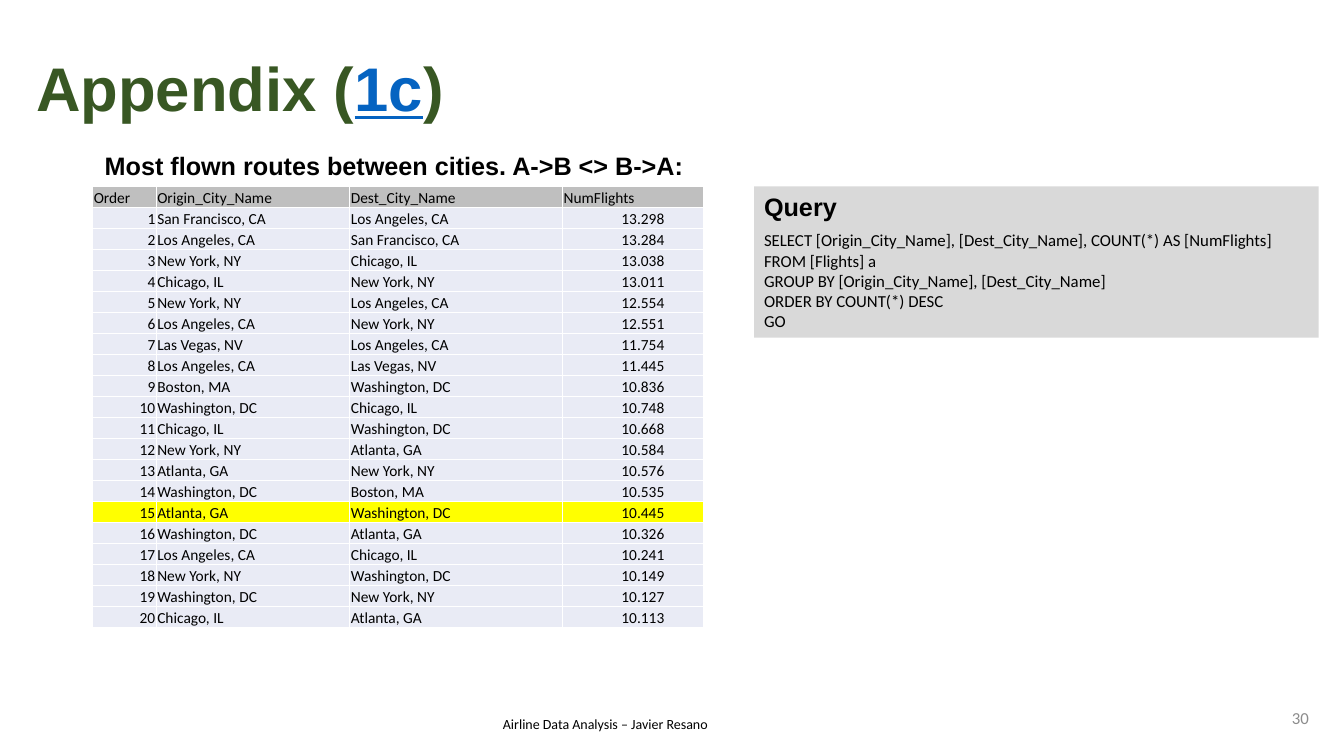
from lxml import etree
from pptx import Presentation
from pptx import util as u
from pptx.dml.color import RGBColor
from pptx.enum import shapes, text
from pptx.oxml.ns import qn

PX = 9144
COLORS = {
    "title": "385723", "link": "0563C1", "ink": "000000", "number": "8C8C8C",
    "header": "BFBFBF", "row": "E9EBF5", "highlight": "FFFF00",
    "query": "D9D9D9", "border": "FFFFFF",
}
HEADINGS = ["Order", "Origin_City_Name", "Dest_City_Name", "NumFlights"]
COLUMN_WIDTHS = [63, 192, 211, 140]
HIGHLIGHTED_ORDER = 15
ROUTES = [
    ("San Francisco, CA", "Los Angeles, CA", "13.298"),
    ("Los Angeles, CA", "San Francisco, CA", "13.284"),
    ("New York, NY", "Chicago, IL", "13.038"),
    ("Chicago, IL", "New York, NY", "13.011"),
    ("New York, NY", "Los Angeles, CA", "12.554"),
    ("Los Angeles, CA", "New York, NY", "12.551"),
    ("Las Vegas, NV", "Los Angeles, CA", "11.754"),
    ("Los Angeles, CA", "Las Vegas, NV", "11.445"),
    ("Boston, MA", "Washington, DC", "10.836"),
    ("Washington, DC", "Chicago, IL", "10.748"),
    ("Chicago, IL", "Washington, DC", "10.668"),
    ("New York, NY", "Atlanta, GA", "10.584"),
    ("Atlanta, GA", "New York, NY", "10.576"),
    ("Washington, DC", "Boston, MA", "10.535"),
    ("Atlanta, GA", "Washington, DC", "10.445"),
    ("Washington, DC", "Atlanta, GA", "10.326"),
    ("Los Angeles, CA", "Chicago, IL", "10.241"),
    ("New York, NY", "Washington, DC", "10.149"),
    ("Washington, DC", "New York, NY", "10.127"),
    ("Chicago, IL", "Atlanta, GA", "10.113"),
]
QUERY = [
    "SELECT [Origin_City_Name], [Dest_City_Name], COUNT(*) AS [NumFlights]",
    "FROM [Flights] a",
    "GROUP BY [Origin_City_Name], [Dest_City_Name]",
    "ORDER BY COUNT(*) DESC",
    "GO",
]


def px(*lengths):
    """Turn px lengths into EMU."""
    return [u.Emu(length * PX) for length in lengths]


def rgb(name):
    """Look up a palette colour."""
    return RGBColor.from_string(COLORS[name])


def style(paragraph, size, face="Calibri", color="ink", bold=False):
    """Set the font of a whole paragraph."""
    font = paragraph.font
    font.size, font.name, font.bold = u.Pt(size), face, bold
    font.color.rgb = rgb(color)


def add_label(slide, box, words, size, wrap=True, **look):
    """Place one line of text in a box and return its frame."""
    frame = slide.shapes.add_textbox(*px(*box)).text_frame
    frame.word_wrap = wrap
    line = frame.paragraphs[0]
    line.text = words
    style(line, size, **look)
    return frame


def add_title(slide, box):
    """Place the title with its underlined reference."""
    frame = add_label(slide, box, "Appendix (", 44, face="Arial", color="title", bold=True)
    frame.vertical_anchor = text.MSO_ANCHOR.MIDDLE
    title = frame.paragraphs[0]
    title.line_spacing = 0.9
    reference = title.add_run()
    reference.text = "1c"
    reference.font.underline = True
    reference.font.color.rgb = rgb("link")
    title.add_run().text = ")"
    for run in (title.runs[0], title.runs[2]):
        run.font.color.rgb = rgb("title")


def add_borders(cell):
    """Give a cell thin borders on all sides."""
    properties = cell._tc.get_or_add_tcPr()
    for index, side in enumerate(("a:lnL", "a:lnR", "a:lnT", "a:lnB")):
        edge = etree.Element(qn(side), w=str(u.Pt(1)))
        fill = etree.SubElement(edge, qn("a:solidFill"))
        etree.SubElement(fill, qn("a:srgbClr"), val=COLORS["border"])
        properties.insert(index, edge)


def add_routes(slide, box):
    """Place the table of most flown routes."""
    rows = [HEADINGS] + [(str(order), *route) for order, route in enumerate(ROUTES, 1)]
    routes = slide.shapes.add_table(len(rows), len(HEADINGS), *px(*box)).table
    routes.horz_banding = False
    for column, width in zip(routes.columns, px(*COLUMN_WIDTHS)):
        column.width = width
    for r, values in enumerate(rows):
        fill = "header" if r == 0 else "highlight" if r == HIGHLIGHTED_ORDER else "row"
        for c, value in enumerate(values):
            cell = routes.cell(r, c)
            numeric = r > 0 and c in (0, 3)
            right = 39 if numeric and c == 3 else 1
            cell.margin_left, cell.margin_top, cell.margin_right, cell.margin_bottom = px(1, 1, right, 0)
            cell.vertical_anchor = text.MSO_ANCHOR.BOTTOM
            cell.fill.solid()
            cell.fill.fore_color.rgb = rgb(fill)
            add_borders(cell)
            entry = cell.text_frame.paragraphs[0]
            entry.text = value
            entry.alignment = text.PP_ALIGN.RIGHT if numeric else text.PP_ALIGN.LEFT
            style(entry, 11)


def add_query(slide, box):
    """Place the panel holding the SQL query."""
    panel = slide.shapes.add_shape(shapes.MSO_SHAPE.RECTANGLE, *px(*box))
    panel.shadow.inherit = False
    panel.fill.solid()
    panel.fill.fore_color.rgb = rgb("query")
    panel.line.fill.background()
    frame = panel.text_frame
    frame.word_wrap = True
    frame.vertical_anchor = text.MSO_ANCHOR.TOP
    heading = frame.paragraphs[0]
    heading.text = "Query"
    heading.alignment = text.PP_ALIGN.LEFT
    heading.space_after = u.Pt(6)
    style(heading, 18, face="Arial", bold=True)
    for statement in QUERY:
        line = frame.add_paragraph()
        line.text = statement
        line.alignment = text.PP_ALIGN.LEFT
        style(line, 12)


def add_footer(slide, box):
    """Place the deck name and the page number."""
    left, top, width, height = box
    add_label(slide, (left, top + 13, 327, 27), "Airline Data Analysis – Javier Resano", 10)
    page = add_label(slide, (left + width - 43, top, 43, height), "30", 12, color="number")
    page.vertical_anchor = text.MSO_ANCHOR.MIDDLE
    page.paragraphs[0].alignment = text.PP_ALIGN.RIGHT


def main():
    """Build the appendix slide."""
    deck = Presentation()
    deck.slide_width, deck.slide_height = px(1333, 750)
    slide = deck.slides.add_slide(deck.slide_layouts[6])
    add_title(slide, (26, 18, 1150, 145))
    add_routes(slide, (92, 185, sum(COLUMN_WIDTHS), 438))
    add_query(slide, (748, 185, 560, 150))
    add_label(slide, (94, 144, 598, 40), "Most flown routes between cities. A->B <> B->A:", 18,
              wrap=False, face="Arial", bold=True)
    add_footer(slide, (489, 692, 819, 40))
    deck.save("out.pptx")


if __name__ == "__main__":
    main()
